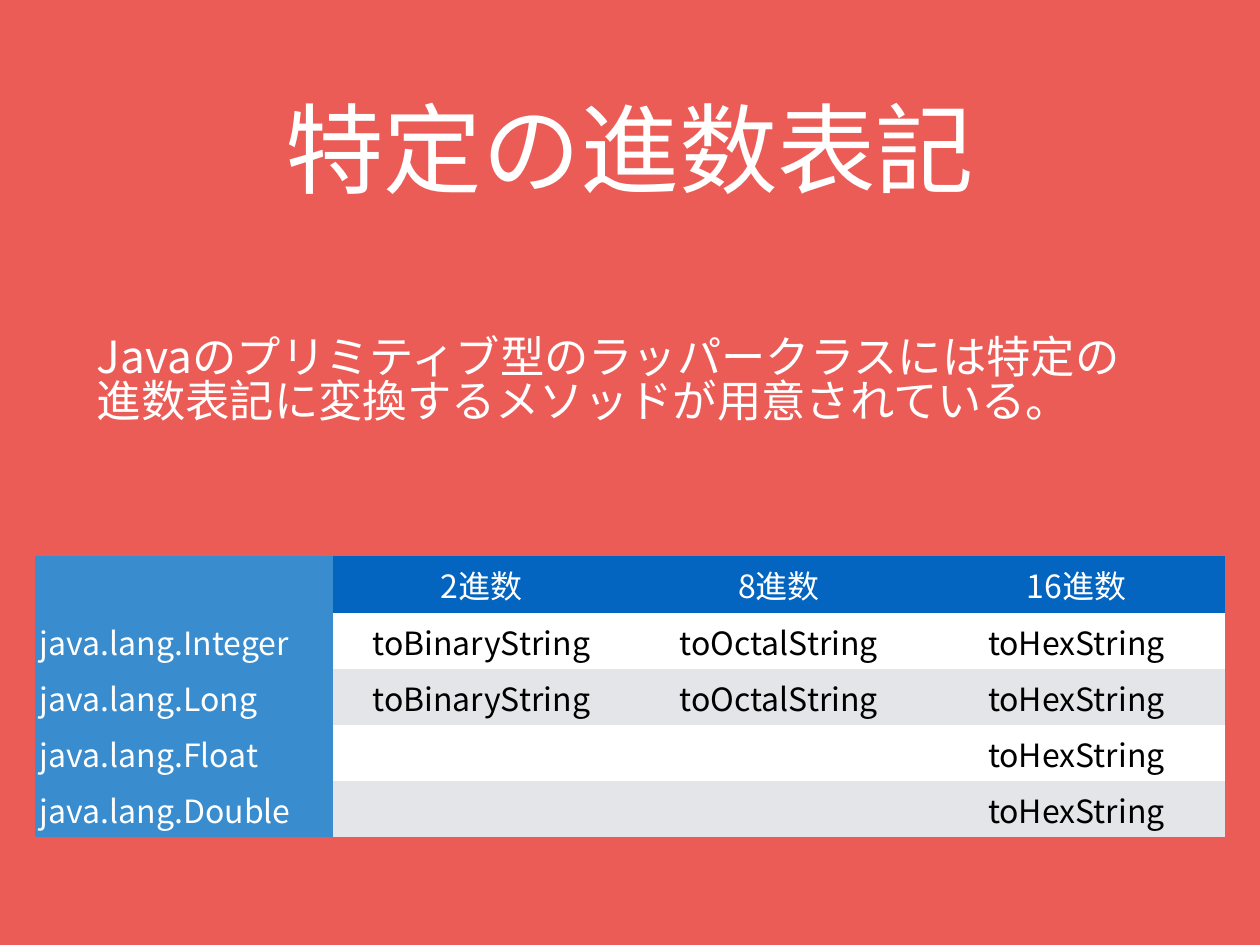
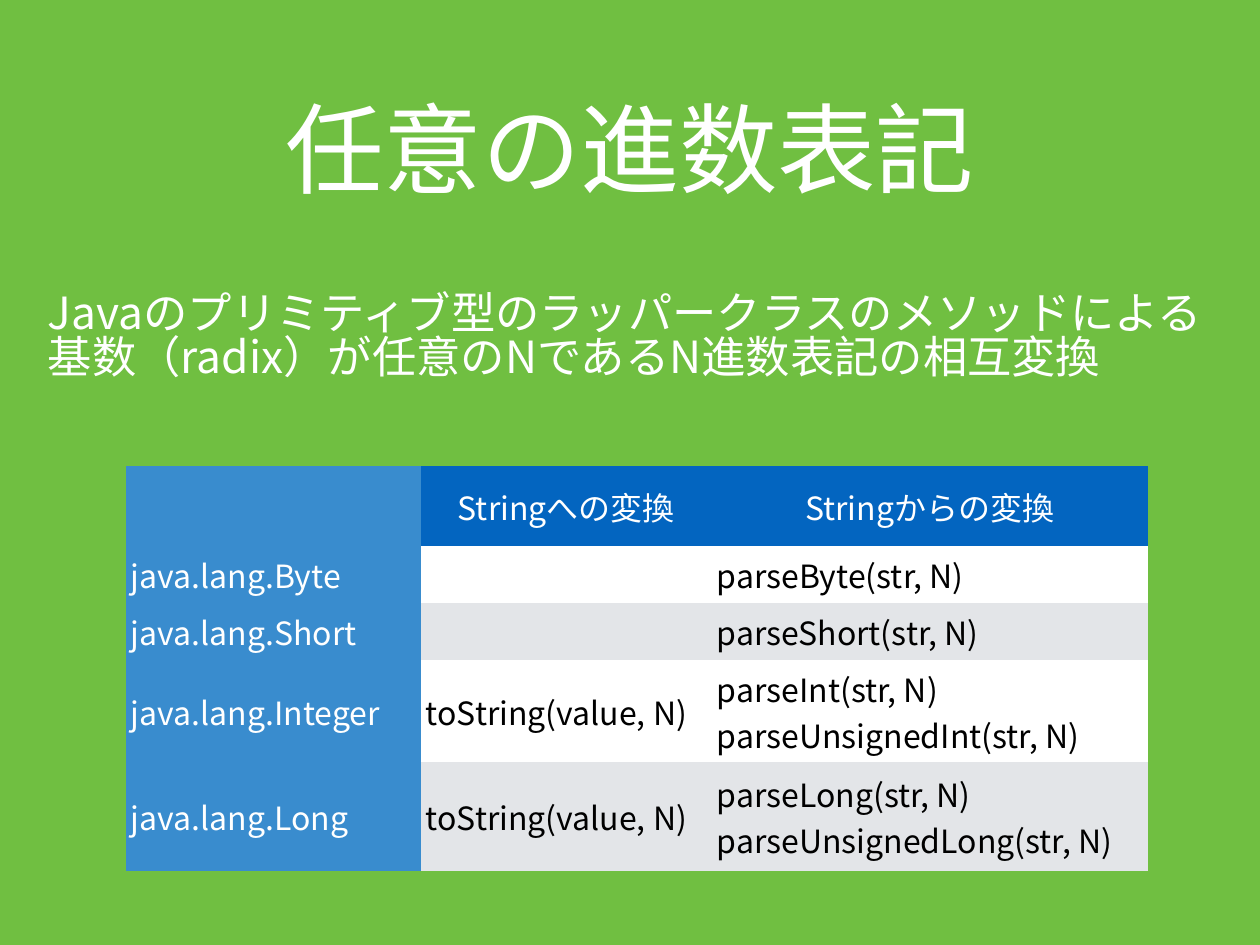
"""Build two slides on Java radix conversion, each with a title, a sentence and a table."""
from lxml import etree
from pptx import Presentation
from pptx.dml.color import RGBColor
from pptx.enum.text import MSO_ANCHOR, PP_ALIGN
from pptx.oxml.ns import qn

PX = 10320
MIDDLE = MSO_ANCHOR.MIDDLE
LEFT, CENTER = PP_ALIGN.LEFT, PP_ALIGN.CENTER
FONT = "Noto Sans CJK JP"
INSET = 5 * PX
WHITE, BLACK = "FFFFFF", "000000"
HEADER, SIDE = "0365C0", "398CCE"
BANDS = ["E3E5E8", WHITE]
NO_GRID = "{2D5ABB26-0587-4C30-8999-92F81FD0307C}"

SLIDES = [
    {
        "bg": "EC5C57",
        "title": "特定の進数表記",
        "body": "Javaのプリミティブ型のラッパークラスには特定の進数表記に変換するメソッドが用意されている。",
        "body_box": (92, 253, 1076, 259),
        "table_at": (35, 556),
        "cols": [298, 297, 298, 297],
        "heights": [57, 56, 56, 56, 56],
        "align": CENTER,
        "rows": [
            ["", "2進数", "8進数", "16進数"],
            ["java.lang.Integer", "toBinaryString", "toOctalString", "toHexString"],
            ["java.lang.Long", "toBinaryString", "toOctalString", "toHexString"],
            ["java.lang.Float", "", "", "toHexString"],
            ["java.lang.Double", "", "", "toHexString"],
        ],
    },
    {
        "bg": "70BF41",
        "title": "任意の進数表記",
        "body": "Javaのプリミティブ型のラッパークラスのメソッドによる基数（radix）が任意のNであるN進数表記の相互変換",
        "body_box": (43, 234, 1173, 209),
        "table_at": (126, 466),
        "cols": [295, 291, 436],
        "heights": [80, 57, 57, 102, 109],
        "align": LEFT,
        "rows": [
            ["", "Stringへの変換", "Stringからの変換"],
            ["java.lang.Byte", "", "parseByte(str, N)"],
            ["java.lang.Short", "", "parseShort(str, N)"],
            ["java.lang.Integer", "toString(value, N)",
             "parseInt(str, N)\vparseUnsignedInt(str, N)"],
            ["java.lang.Long", "toString(value, N)",
             "parseLong(str, N)\vparseUnsignedLong(str, N)"],
        ],
    },
]


def write(owner, text, size, color, align):
    """Fill a text box or cell with one styled paragraph and return it."""
    tf = owner.text_frame
    tf.text = text
    tf.word_wrap = True
    owner.margin_left = owner.margin_right = INSET
    owner.margin_top = owner.margin_bottom = INSET
    owner.vertical_anchor = MIDDLE
    p = tf.paragraphs[0]
    p.alignment = align
    p.font.size = size * 12700
    p.font.color.rgb = RGBColor.from_string(color)
    p.font.name = FONT
    props = p._p.pPr.find(qn("a:defRPr"))
    etree.SubElement(props, qn("a:ea")).set("typeface", FONT)
    return p


def add_text(s, box, text, size, align):
    """Add a white text box and return its paragraph."""
    sp = s.shapes.add_textbox(*(v * PX for v in box))
    p = write(sp.text_frame_owner if hasattr(sp, "text_frame_owner") else sp, text, size, WHITE, align)
    tf = sp.text_frame
    tf.margin_left = tf.margin_right = tf.margin_top = tf.margin_bottom = INSET
    tf.vertical_anchor = MIDDLE
    return p


prs = Presentation()
prs.slide_width, prs.slide_height = 1260 * PX, 945 * PX

for data in SLIDES:
    s = prs.slides.add_slide(prs.slide_layouts[6])
    s.background.fill.solid()
    s.background.fill.fore_color.rgb = RGBColor.from_string(data["bg"])
    add_text(s, (92, 43, 1076, 209), data["title"], 80, CENTER)
    add_text(s, data["body_box"], data["body"], 36, LEFT).line_spacing = 0.82

    x, y = data["table_at"]
    cols, heights, rows = data["cols"], data["heights"], data["rows"]
    table = s.shapes.add_table(len(rows), len(cols), x * PX, y * PX,
                               sum(cols) * PX, sum(heights) * PX).table
    table.first_row = table.horz_banding = False
    table._tbl.tblPr.find(qn("a:tableStyleId")).text = NO_GRID
    for column, width in zip(table.columns, cols):
        column.width = width * PX
    for i, row in enumerate(rows):
        table.rows[i].height = heights[i] * PX
        for j, text in enumerate(row):
            if j == 0:
                fill, color, align = SIDE, WHITE, LEFT
            elif i == 0:
                fill, color, align = HEADER, WHITE, CENTER
            else:
                fill, color, align = BANDS[i % 2], BLACK, data["align"]
            cell = table.cell(i, j)
            write(cell, text, 26, color, align)
            cell.fill.solid()
            cell.fill.fore_color.rgb = RGBColor.from_string(fill)

prs.save("out.pptx")
